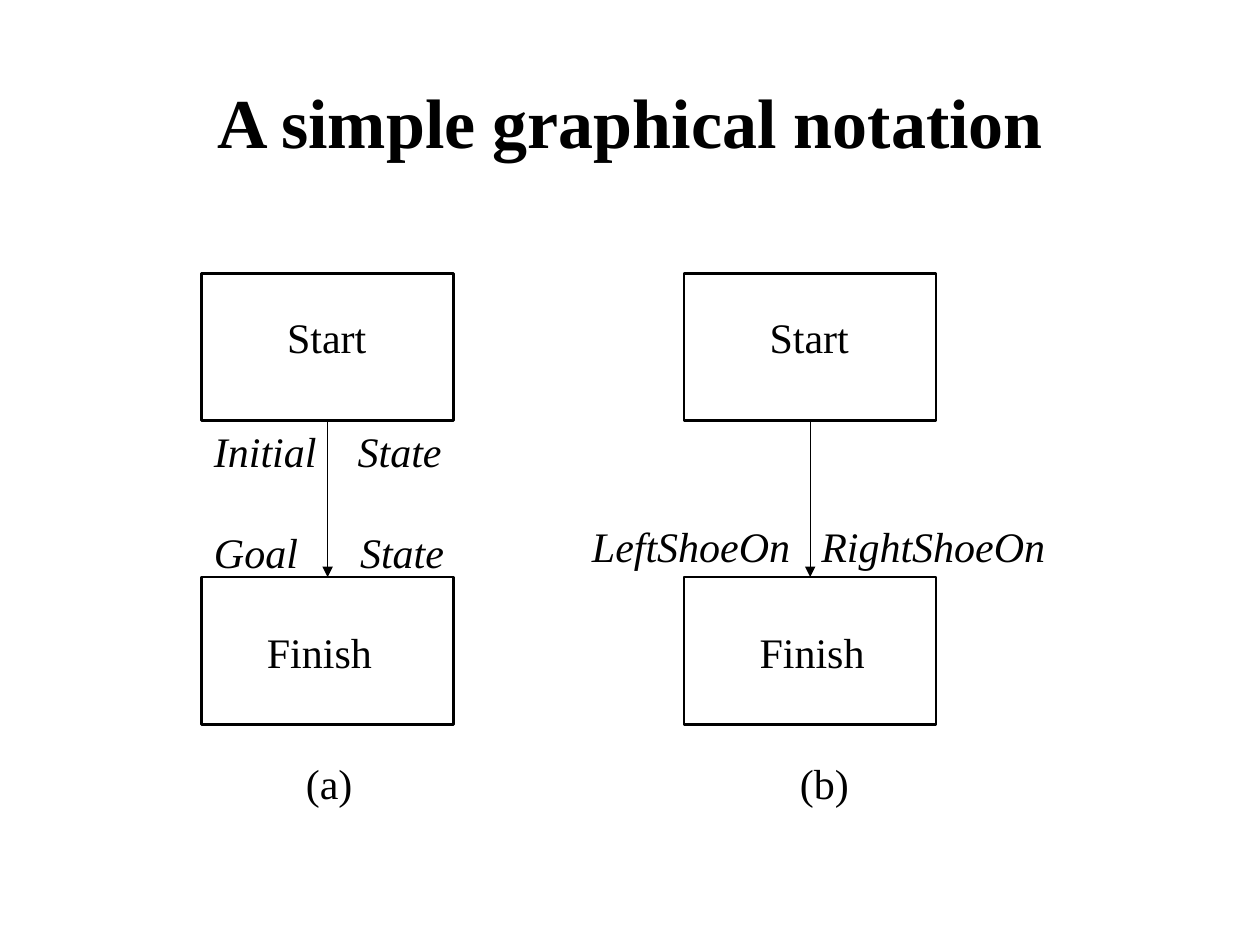
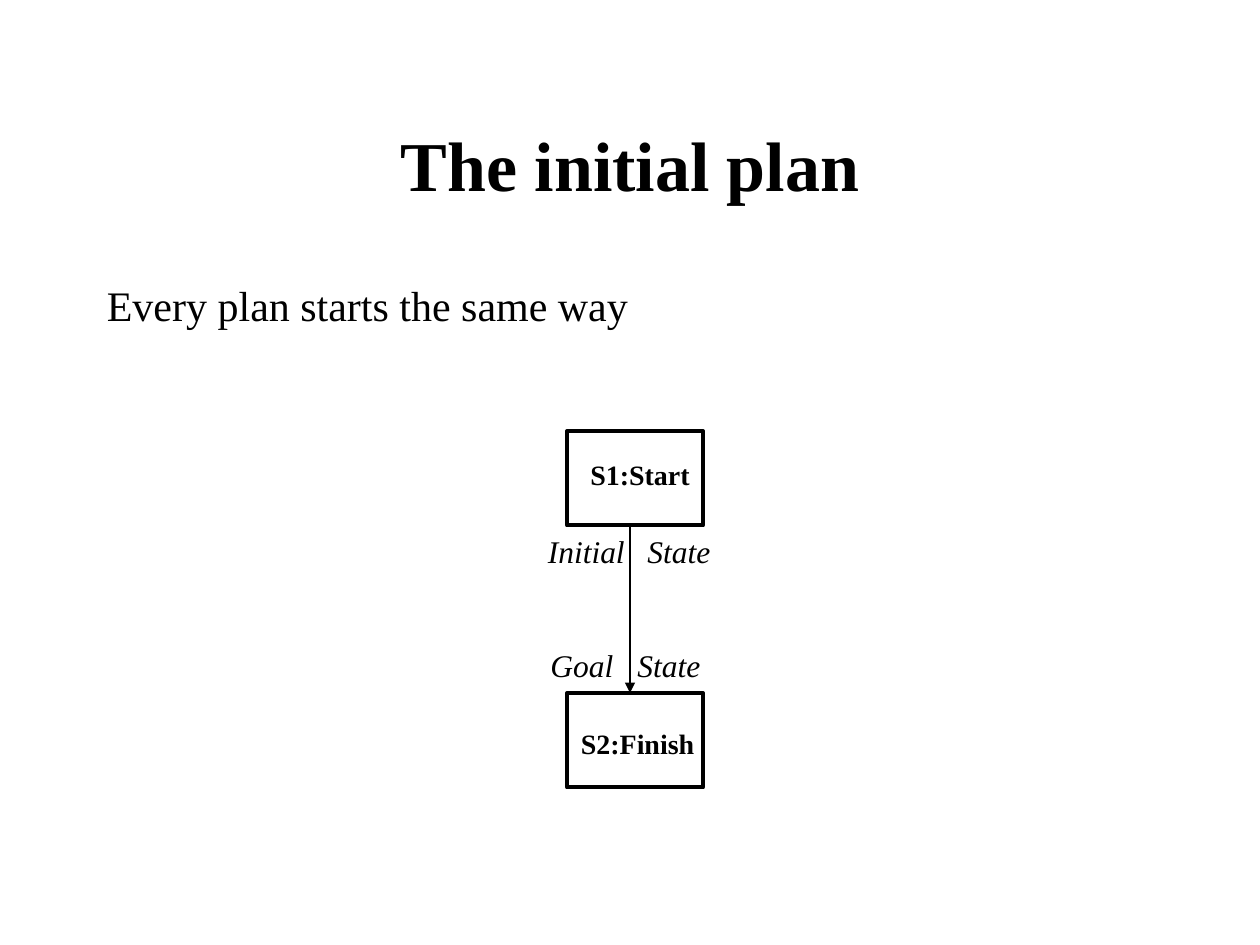
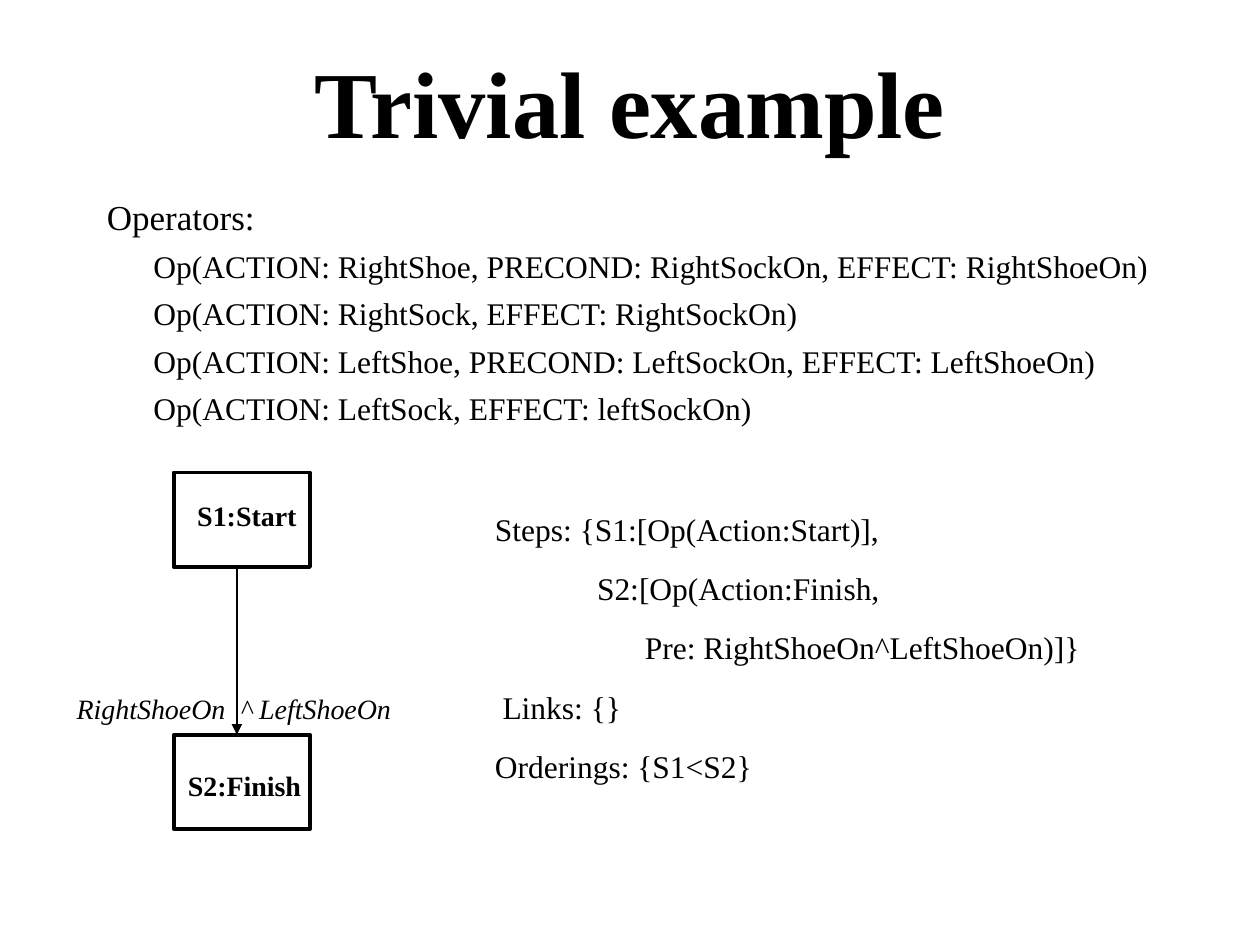
from lxml import etree
from pptx import Presentation
from pptx.dml.color import RGBColor
from pptx.enum import shapes, text
from pptx.oxml.ns import qn
from pptx.util import Inches, Pt

FONT = "Times New Roman"
INK = "000000"
LEFT, WIDTH = 0.75, 8.5

# Plan styles: box size, step from Start to Finish, arrow offset, line widths
LARGE = dict(box=(2, 1.17), step=2.41, arrow=1, outline=1.5, line=0.75)
SMALL = dict(box=(1.08, 0.75), step=2.08, arrow=0.5, outline=2.25, line=1)

# Labels: text, offset from the plan's corner, width, format
STEP = dict(size=16, bold=True, align="CENTER")
SMALL_STEPS = [
    ("S1:Start", 0.08, 0.16, 1, STEP),
    ("S2:Finish", 0, 2.3, 1.12, STEP),
]


def state(size, tab):
    """Format of an italic label that continues right of the arrow."""
    return dict(size=size, italic=True, tab=tab)


SLIDES = [
    dict(
        title=("A simple graphical notation", 0.33, 40),
        plans=[
            (1.6, 2.17, LARGE, [
                ("Start", 0.58, 0.25, 0.93, {}),
                ("Initial\tState", 0, 1.16, 2.13, state(24, 1.14)),
                ("Goal\tState", 0, 1.96, 2.13, state(24, 1.16)),
                ("Finish", 0.42, 2.75, 1.13, {}),
                ("(a)", 0.73, 3.79, 0.67, {}),
            ]),
            (5.43, 2.17, LARGE, [
                ("Start", 0.58, 0.25, 0.93, {}),
                ("LeftShoeOn\tRightShoeOn", -0.83, 1.91, 3.9, state(24, 1.82)),
                ("Finish", 0.5, 2.75, 1.13, {}),
                ("(b)", 0.82, 3.79, 0.69, {}),
            ]),
        ],
    ),
    dict(
        title=("The initial plan", 0.67, 40),
        texts=[
            (["Every plan starts the same way"], (LEFT, 2.17, WIDTH, 0.67), {}),
        ],
        plans=[
            (4.5, 3.42, SMALL, SMALL_STEPS + [
                ("Initial\tState", -0.25, 0.75, 1.6, state(18, 0.79)),
                ("Goal\tState", -0.23, 1.66, 1.49, state(18, 0.69)),
            ]),
        ],
    ),
    dict(
        title=("Trivial example", 0.17, 54),
        texts=[
            (["Operators:",
              ("Op(ACTION: RightShoe, PRECOND: RightSockOn, EFFECT: RightShoeOn)", 0.37, 18),
              ("Op(ACTION: RightSock, EFFECT: RightSockOn)", 0.37, 18),
              ("Op(ACTION: LeftShoe, PRECOND: LeftSockOn, EFFECT: LeftShoeOn)", 0.37, 18),
              ("Op(ACTION: LeftSock, EFFECT: leftSockOn)", 0.37, 18)],
             (LEFT, 1.5, WIDTH, 1.92), dict(size=20, before=5.5)),
            (["Steps: {S1:[Op(Action:Start)],",
              ("S2:[Op(Action:Finish,", 0.81, 18),
              ("Pre: RightShoeOn^LeftShoeOn)]}", 1.19, 18),
              ("Links: {}", 0.06, 18),
              "Orderings: {S1<S2}"],
             (3.83, 4, 5.25, 2.23), dict(size=18, before=12.2)),
        ],
        plans=[
            (1.38, 3.75, SMALL, SMALL_STEPS + [
                ("RightShoeOn\t^ LeftShoeOn", -0.87, 1.69, 2.79, state(16, 1.3)),
            ]),
        ],
    ),
]


def color(value):
    return RGBColor.from_string(value)


def inches(*values):
    return [Inches(value) for value in values]


def add_text(slide, lines, place, size=24, bold=False, italic=False,
             align="LEFT", anchor="TOP", before=0, tab=None):
    """Add a text box; a line is a string or (string, indent, size)."""
    frame = slide.shapes.add_textbox(*inches(*place)).text_frame
    frame.word_wrap = True
    frame.vertical_anchor = getattr(text.MSO_ANCHOR, anchor)
    for index, line in enumerate(lines):
        words, indent, points = (line, 0, size) if isinstance(line, str) else line
        paragraph = frame.add_paragraph() if index else frame.paragraphs[0]
        paragraph.alignment = getattr(text.PP_ALIGN, align)
        paragraph.space_before = Pt(before)
        properties = paragraph._p.get_or_add_pPr()
        if indent:
            properties.set("marL", str(Inches(indent)))
        if tab:
            stops = etree.SubElement(properties, qn("a:tabLst"))
            etree.SubElement(stops, qn("a:tab"), pos=str(Inches(tab)), algn="l")
        run = paragraph.add_run()
        run.text = words
        run.font.name, run.font.size = FONT, Pt(points)
        run.font.bold, run.font.italic = bold, italic
        run.font.color.rgb = color(INK)


def add_box(slide, left, top, style):
    box = slide.shapes.add_shape(
        shapes.MSO_SHAPE.RECTANGLE, *inches(left, top, *style["box"]))
    box.shadow.inherit = False
    box.fill.background()
    box.line.color.rgb = color(INK)
    box.line.width = Pt(style["outline"])
    return box


def add_arrow(slide, start, finish, style):
    x = start.left + Inches(style["arrow"])
    arrow = slide.shapes.add_connector(
        shapes.MSO_CONNECTOR.STRAIGHT, x, start.top + start.height, x, finish.top)
    if style["arrow"] * 2 == style["box"][0]:
        arrow.begin_connect(start, 2)
        arrow.end_connect(finish, 0)
    arrow.line.color.rgb = color(INK)
    arrow.line.width = Pt(style["line"])
    etree.SubElement(arrow.line._get_or_add_ln(), qn("a:tailEnd"), type="triangle")
    etree.SubElement(arrow._element.spPr, qn("a:effectLst"))


def add_plan(slide, left, top, style, labels):
    """Draw Start and Finish boxes, the arrow between them and the labels."""
    start = add_box(slide, left, top, style)
    finish = add_box(slide, left, top + style["step"], style)
    add_arrow(slide, start, finish, style)
    for words, x, y, width, look in labels:
        height = look.get("size", 24) / 60 + 0.1
        add_text(slide, [words], (left + x, top + y, width, height), **look)


def main():
    presentation = Presentation()
    presentation.slide_width, presentation.slide_height = inches(10, 7.5)
    for content in SLIDES:
        slide = presentation.slides.add_slide(presentation.slide_layouts[6])
        title, top, size = content["title"]
        add_text(slide, [title], (LEFT, top, WIDTH, 1.25), size=size, bold=True,
                 align="CENTER", anchor="MIDDLE")
        for lines, place, look in content.get("texts", []):
            add_text(slide, lines, place, **look)
        for plan in content["plans"]:
            add_plan(slide, *plan)
    presentation.save("out.pptx")


if __name__ == "__main__":
    main()
